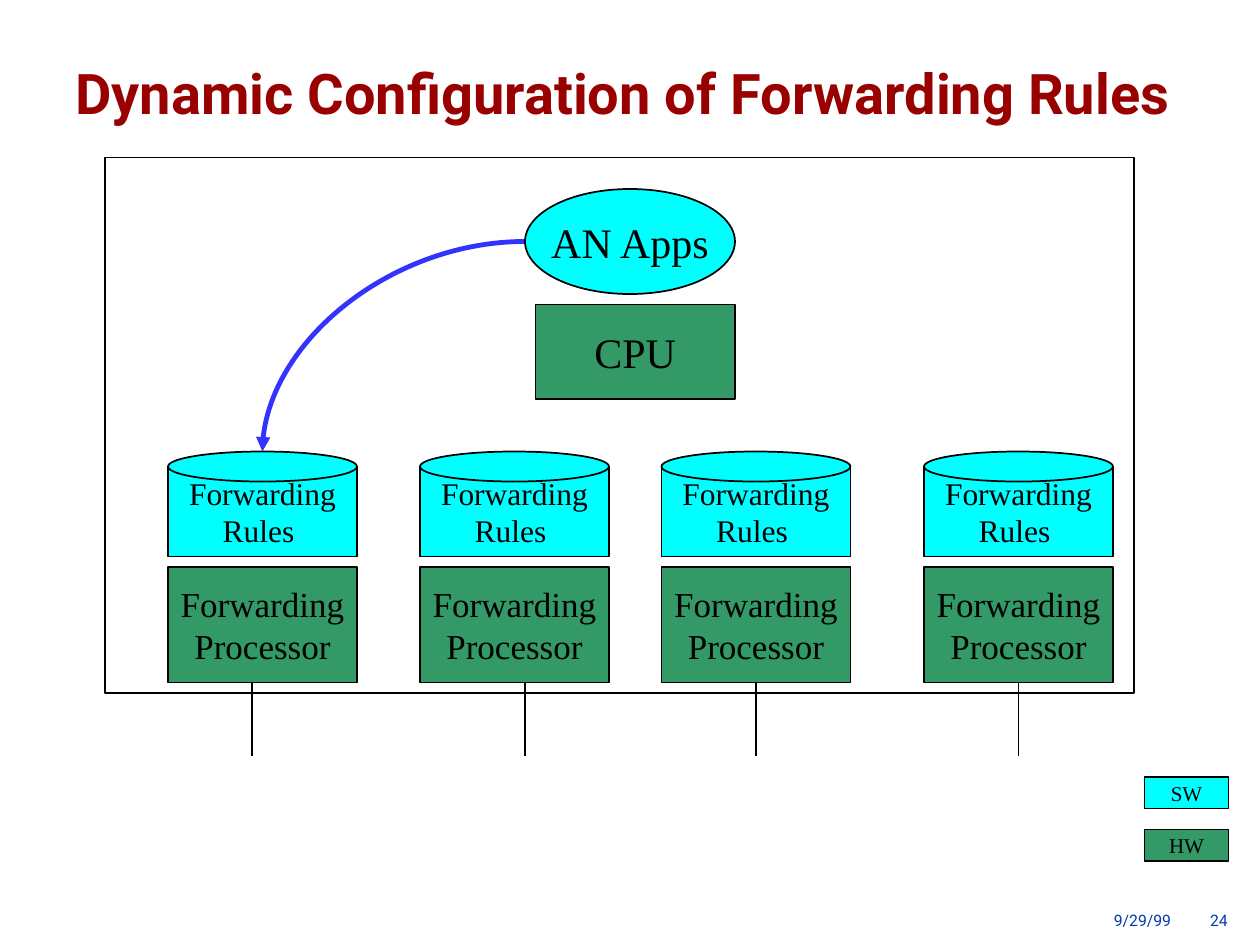
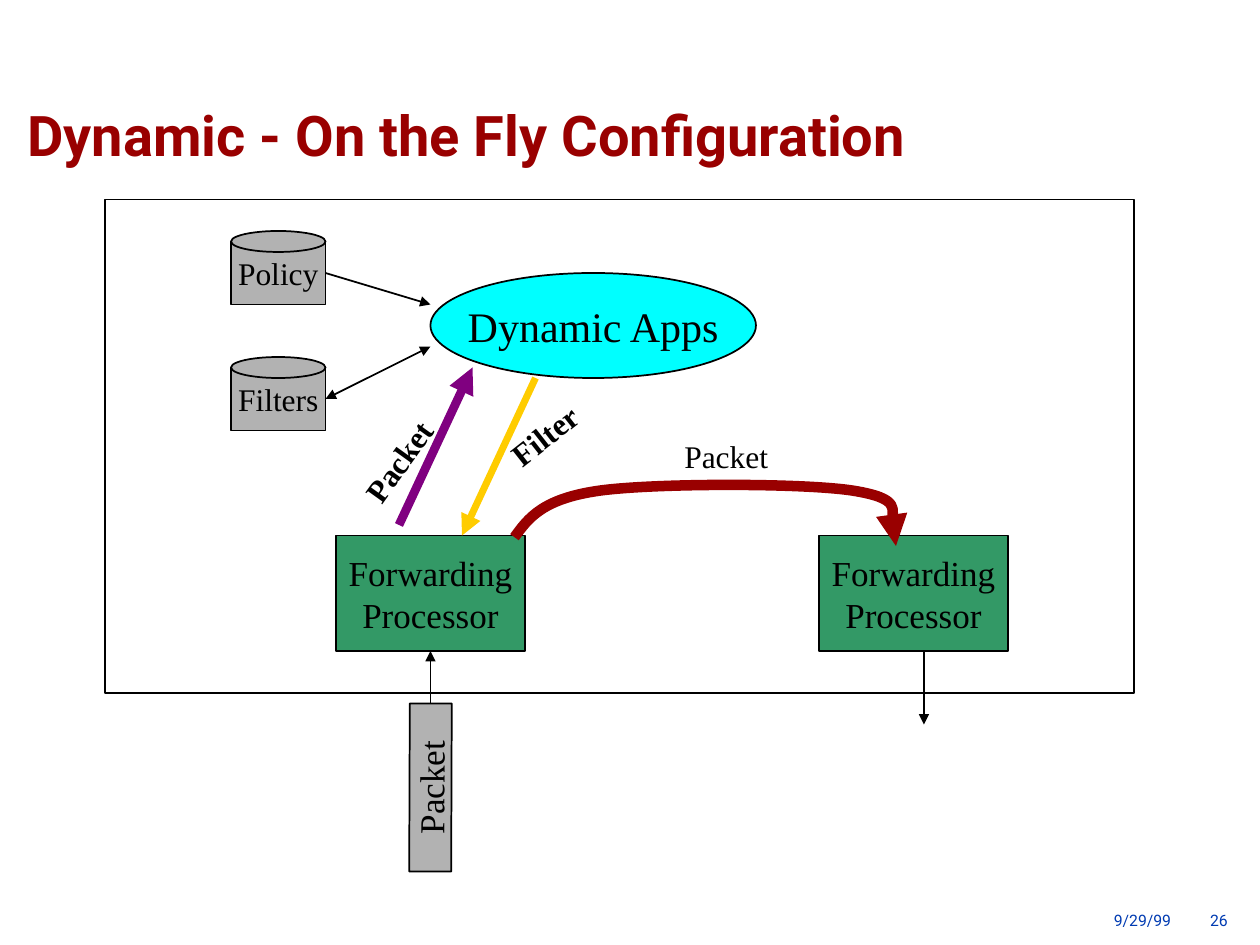
import pptx
import pptx.dml.color
import pptx.enum.shapes
import pptx.enum.text
import pptx.oxml
import pptx.oxml.ns
import pptx.util

Pt = pptx.util.Pt
RGBColor = pptx.dml.color.RGBColor
SHAPE = pptx.enum.shapes.MSO_SHAPE
CONNECTOR = pptx.enum.shapes.MSO_CONNECTOR
ALIGN = pptx.enum.text.PP_ALIGN
ANCHOR = pptx.enum.text.MSO_ANCHOR
qn = pptx.oxml.ns.qn

# Shared look
TITLE_RED = RGBColor(0x99, 0x00, 0x00)
FOOTER_BLUE = RGBColor(0x00, 0x3B, 0xB2)
BLACK = RGBColor(0x00, 0x00, 0x00)
SOFTWARE_CYAN = RGBColor(0x00, 0xFF, 0xFF)
HARDWARE_GREEN = RGBColor(0x33, 0x99, 0x66)
STORE_GRAY = RGBColor(0xB2, 0xB2, 0xB2)
RULE_BLUE = RGBColor(0x33, 0x33, 0xFF)
PACKET_PURPLE = RGBColor(0x80, 0x00, 0x80)
FILTER_YELLOW = RGBColor(0xFF, 0xCC, 0x00)
TITLE_FONT = "Roboto"
DIAGRAM_FONT = "Times New Roman"

PROCESSOR_WIDTH, PROCESSOR_HEIGHT = 108, 66
LID_SHARE = 2 / 7  # height of a cylinder's lid relative to the cylinder


def format_text(shape, text, size, font=DIAGRAM_FONT, color=BLACK, bold=False,
                align=ALIGN.CENTER, anchor=ANCHOR.MIDDLE, wrap=False,
                insets=(7.2, 3.6)):
    frame = shape.text_frame
    frame.text = text
    frame.word_wrap = wrap
    frame.vertical_anchor = anchor
    frame.margin_left = frame.margin_right = Pt(insets[0])
    frame.margin_top = frame.margin_bottom = Pt(insets[1])
    for paragraph in frame.paragraphs:
        paragraph.alignment = align
        for run in paragraph.runs:
            run.font.name = font
            run.font.size = Pt(size)
            run.font.bold = bold
            run.font.color.rgb = color


def add_text(slide, box, text, size, rotation=0, **style):
    text_box = slide.shapes.add_textbox(*map(Pt, box))
    text_box.rotation = rotation
    format_text(text_box, text, size, **style)
    return text_box


def add_title(slide, box, text, align):
    title = add_text(slide, box, text, 32, font=TITLE_FONT, color=TITLE_RED,
                     bold=True, align=align, anchor=ANCHOR.BOTTOM, wrap=True,
                     insets=(3.6, 3.6))
    title.text_frame.paragraphs[0].line_spacing = 0.93


def add_footer(slide, number):
    footer = add_text(slide, (630, 520.3, 88, 12), f"9/29/99\t{number}", 9,
                      font=TITLE_FONT, color=FOOTER_BLUE, align=ALIGN.LEFT,
                      anchor=ANCHOR.TOP, wrap=True, insets=(6.5, 0))
    properties = footer.text_frame.paragraphs[0]._p.get_or_add_pPr()
    tabs = pptx.oxml.parse_xml(
        f'<a:tabLst {pptx.oxml.ns.nsdecls("a")}>'
        f'<a:tab pos="{Pt(55)}" algn="l"/></a:tabLst>')
    properties.append(tabs)


def add_block(shapes, kind, box, fill=None, line_width=1, text="", size=20):
    block = shapes.add_shape(kind, *map(Pt, box))
    block.shadow.inherit = False
    if fill is None:
        block.fill.background()
    else:
        block.fill.solid()
        block.fill.fore_color.rgb = fill
    block.line.color.rgb = BLACK
    block.line.width = Pt(line_width)
    if text:
        format_text(block, text, size)
    return block


def add_hardware(slide, box, text, size):
    return add_block(slide.shapes, SHAPE.RECTANGLE, box, HARDWARE_GREEN, 0.75,
                     text, size)


def add_processor(slide, left, top):
    box = (left, top, PROCESSOR_WIDTH, PROCESSOR_HEIGHT)
    return add_hardware(slide, box, "Forwarding\nProcessor", 20)


def add_node_frame(slide, top):
    """Outline of the network node, always ending at the same height."""
    add_block(slide.shapes, SHAPE.RECTANGLE, (60, top, 588, 396 - top),
              line_width=0.75)


def add_cylinder(slide, box, fill, text):
    """Draw a box with an elliptical lid and return the box."""
    left, top, width, height = box
    lid = height * LID_SHARE
    group = slide.shapes.add_group_shape()
    body = add_block(group.shapes, SHAPE.RECTANGLE,
                     (left, top + lid / 2, width, height - lid / 2),
                     fill, 1, text, 18)
    add_block(group.shapes, SHAPE.OVAL, (left, top, width, lid), fill)
    return body


def style_line(shape, color, width, arrows=()):
    """Colour a line; arrows names its ends: headEnd (start), tailEnd (end)."""
    shape.line.color.rgb = color
    shape.line.width = Pt(width)
    properties = shape._element.spPr
    line = properties.get_or_add_ln()
    for end in arrows:
        line.append(line.makeelement(qn(f"a:{end}"), {"type": "triangle"}))
    if properties.find(qn("a:effectLst")) is None:
        properties.append(properties.makeelement(qn("a:effectLst"), {}))


def add_line(slide, start, end, color=BLACK, width=1, arrows=(),
             kind=CONNECTOR.STRAIGHT):
    connector = slide.shapes.add_connector(kind, *map(Pt, start + end))
    style_line(connector, color, width, arrows)
    return connector


def add_bezier(slide, points, color, width):
    """Draw a cubic curve: a start, then two controls and an end per piece."""
    start, *rest = [(Pt(x), Pt(y)) for x, y in points]
    builder = slide.shapes.build_freeform(*start)
    builder.add_line_segments(rest, close=False)
    curve = builder.convert_to_shape()
    curve.shadow.inherit = False
    curve.fill.background()
    outline = next(curve._element.iter(qn("a:path")))
    segments = outline.findall(qn("a:lnTo"))
    for first in range(0, len(segments), 3):
        piece = outline.makeelement(qn("a:cubicBezTo"), {})
        for segment in segments[first:first + 3]:
            piece.append(segment[0])
            outline.remove(segment)
        outline.append(piece)
    style_line(curve, color, width, ["tailEnd"])


def build_rules_slide(slide):
    add_footer(slide, 24)
    add_title(slide, (0, 23.8, 720, 52.5),
              "Dynamic Configuration of Forwarding Rules ", ALIGN.CENTER)
    add_hardware(slide, (306, 174, 114, 54), "CPU", 24)

    # Processors with their rules and ports
    for left, port in ((96, 144), (240, 300), (378, 432), (528, 582)):
        processor = add_processor(slide, left, 324)
        line = add_line(slide, (port, 390), (port, 432))
        if port == left + PROCESSOR_WIDTH / 2:
            line.begin_connect(processor, 2)
        add_cylinder(slide, (left, 258, PROCESSOR_WIDTH, 60), SOFTWARE_CYAN,
                     "Forwarding\nRules ")
    add_node_frame(slide, 90)

    # Application that sets the rules
    curve = add_line(slide, (300, 138), (150, 258), RULE_BLUE, 2.75,
                     ["tailEnd"], CONNECTOR.CURVE)
    curve._element.spPr.find(qn("a:prstGeom")).set("prst", "curvedConnector2")
    add_block(slide.shapes, SHAPE.OVAL, (300, 108, 120, 60), SOFTWARE_CYAN, 1,
              "AN Apps", 24)

    # Legend
    add_block(slide.shapes, SHAPE.RECTANGLE, (654, 444, 48, 18),
              SOFTWARE_CYAN, 1, "SW", 12)
    add_hardware(slide, (654, 474, 48, 18), "HW", 12)


def build_on_the_fly_slide(slide):
    add_footer(slide, 26)
    add_title(slide, (12, 47.6, 618.5, 52.5),
              "Dynamic - On the Fly Configuration", ALIGN.LEFT)

    # Processors and the traffic through them
    entry_processor = add_processor(slide, 192, 306)
    add_processor(slide, 468, 306)
    incoming = add_line(slide, (246, 414), (246, 372), arrows=["tailEnd"])
    incoming.end_connect(entry_processor, 2)
    add_line(slide, (528, 372), (528, 414), arrows=["tailEnd"])
    add_node_frame(slide, 114)
    add_line(slide, (228, 300), (270, 210), PACKET_PURPLE, 5, ["tailEnd"])
    add_bezier(slide, [(294, 307),
                       (302, 296), (310, 285), (342.5, 280.4),
                       (374.5, 276), (459.5, 276), (487.5, 280.4),
                       (516, 285), (508, 301.5), (512, 306.8),
                       (516, 312), (514, 312), (512, 312)], TITLE_RED, 6)
    packet = add_block(slide.shapes, SHAPE.RECTANGLE, (198, 438, 96, 24),
                       STORE_GRAY, 1, "Packet", 20)
    packet.rotation = 270.2

    # Stores feeding the application
    for name, top, target, arrows in (
            ("Policy", 132, 174, ["tailEnd"]),
            ("Filters", 204, 198, ["headEnd", "tailEnd"])):
        store = add_cylinder(slide, (132, top, 54, 42), STORE_GRAY, name)
        line = add_line(slide, (186, top + 24), (246, target), arrows=arrows)
        line.begin_connect(store, 3)
    add_line(slide, (306, 216), (264, 306), FILTER_YELLOW, 4, ["tailEnd"])
    add_block(slide.shapes, SHAPE.OVAL, (246, 156, 186, 60), SOFTWARE_CYAN, 1,
              "Dynamic Apps", 24)

    # Labels on the arrows
    add_text(slide, (381, 246, 68, 29), "Packet", 18)
    add_text(slide, (191.5, 249, 72, 29), "Packet", 18, 305.6, bold=True,
             wrap=True)
    add_text(slide, (282, 234, 58, 29), "Filter", 18, 321.8, bold=True,
             wrap=True)


def main():
    presentation = pptx.Presentation()
    presentation.slide_width = Pt(720)
    presentation.slide_height = Pt(540)
    blank = presentation.slide_layouts[6]
    for build in (build_rules_slide, build_on_the_fly_slide):
        build(presentation.slides.add_slide(blank))
    presentation.save("out.pptx")


if __name__ == "__main__":
    main()
